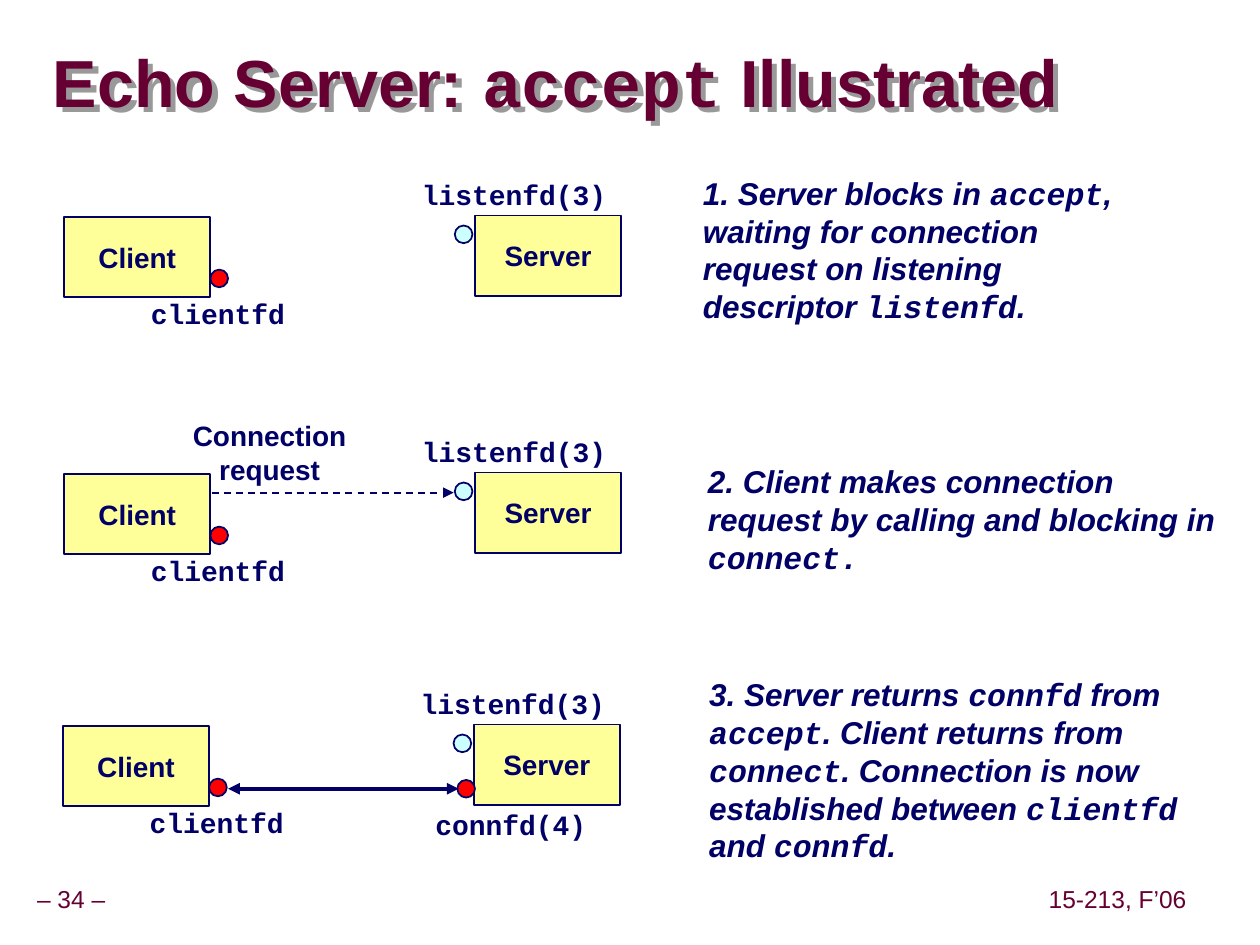
from lxml.etree import SubElement
from pptx import Presentation
from pptx.dml.color import RGBColor
from pptx.enum.dml import MSO_LINE_DASH_STYLE as Dash
from pptx.enum.shapes import MSO_CONNECTOR as Connector, MSO_SHAPE as Shape
from pptx.enum.text import MSO_ANCHOR as Anchor, MSO_AUTO_SIZE as AutoSize, PP_ALIGN as Align
from pptx.oxml import parse_xml
from pptx.oxml.ns import nsdecls, qn
from pptx.util import Inches, Pt

NAVY = RGBColor(0x00, 0x00, 0x66)
MAROON = RGBColor(0x66, 0x00, 0x33)
YELLOW = RGBColor(0xFF, 0xFF, 0x99)
PALE_CYAN = RGBColor(0xCC, 0xFF, 0xFF)
RED = RGBColor(0xFF, 0x00, 0x00)
GRAY = RGBColor(0x99, 0x99, 0x99)

SANS, MONO = "Arial", "Courier New"
WIDTH, HEIGHT = Inches(10), Inches(7.5)
COLUMN, ROW = WIDTH / 100, HEIGHT / 75  # the grid has 100 columns and 75 rows

NODE_SIZE = (11.6, 6.4)
DOT_SIZE = (1.4, 1.4)
LABEL_HEIGHT = 3.7


def grid(left, top, width, height):
    return (int(left * COLUMN), int(top * ROW),
            int(width * COLUMN), int(height * ROW))


def add_shadow(shape):
    """Give an unfilled text box a shadow, which falls from its letters."""
    shape.fill.background()
    shape._element.spPr.append(parse_xml(
        f'<a:effectLst {nsdecls("a")}>'
        '<a:outerShdw dist="53882" dir="2700000" algn="ctr" rotWithShape="0">'
        f'<a:srgbClr val="{GRAY}"/></a:outerShdw></a:effectLst>'))


def write(shape, text, *, size=16, color=NAVY, bold=True, italic=False,
          align=Align.CENTER, wrap=False, insets=(0.1, 0.05), spacing=None):
    """Fill a shape with text; parts between backticks are set as code."""
    frame = shape.text_frame
    frame.word_wrap = wrap
    frame.vertical_anchor = Anchor.MIDDLE
    frame.margin_left = frame.margin_right = Inches(insets[0])
    frame.margin_top = frame.margin_bottom = Inches(insets[1])
    for number, line in enumerate(text.split("\n")):
        paragraph = frame.add_paragraph() if number else frame.paragraphs[0]
        paragraph.alignment = align
        if spacing:
            paragraph.line_spacing = spacing
        for index, part in enumerate(line.split("`")):
            if not part:
                continue
            run = paragraph.add_run()
            run.text = part
            font = run.font
            font.size, font.bold, font.italic = Pt(size), bold, italic
            font.color.rgb = color
            font.name = MONO if index % 2 else SANS


def add_text(slide, box, text, *, grow=True, **style):
    shape = slide.shapes.add_textbox(*grid(*box))
    write(shape, text, **style)
    if grow:
        shape.text_frame.auto_size = AutoSize.SHAPE_TO_FIT_TEXT
    return shape


def add_outlined(slide, kind, box, fill):
    shape = slide.shapes.add_shape(kind, *grid(*box))
    shape.shadow.inherit = False
    shape.fill.solid()
    shape.fill.fore_color.rgb = fill
    shape.line.color.rgb = NAVY
    shape.line.width = Pt(1)
    return shape


def add_node(slide, left, top, name):
    write(add_outlined(slide, Shape.RECTANGLE, (left, top, *NODE_SIZE), YELLOW), name)


def add_dot(slide, left, top, fill):
    add_outlined(slide, Shape.OVAL, (left, top, *DOT_SIZE), fill)


def add_arrow(slide, start, end, top, *, weight=1, dash=None, ends=("tailEnd",)):
    left, y, length, _ = grid(start, top, end - start, 0)
    arrow = slide.shapes.add_connector(Connector.STRAIGHT, left, y, left + length, y)
    arrow.line.color.rgb = NAVY
    arrow.line.width = Pt(weight)
    if dash:
        arrow.line.dash_style = dash
    for end_name in ends:
        SubElement(arrow.line._get_or_add_ln(), qn(f"a:{end_name}"), type="triangle")
    SubElement(arrow._element.spPr, qn("a:effectLst"))


def add_endpoints(slide, left, top):
    """Client and server with the descriptors that every stage shows."""
    add_dot(slide, left + 31, top + 4.3, PALE_CYAN)
    add_text(slide, (left + 27.3, top, 16.8, LABEL_HEIGHT), "`listenfd(3)`")
    add_dot(slide, left + 11.6, top + 7.8, RED)
    add_node(slide, left, top + 3.6, "Client")
    add_text(slide, (left + 5.7, top + 9.45, 13, LABEL_HEIGHT), "`clientfd`")
    add_node(slide, left + 32.6, top + 3.5, "Server")


def add_request(slide, left, top):
    add_arrow(slide, left + 11.7, left + 30.9, top + 5.1, dash=Dash.DASH)
    add_text(slide, (left + 9.2, top - 1.3, 14.2, 6.4), "Connection\nrequest")


def add_connection(slide, left, top):
    add_dot(slide, left + 31.3, top + 7.9, RED)
    add_text(slide, (left + 28.4, top + 9.6, 14.3, LABEL_HEIGHT), "`connfd(4)`")
    add_arrow(slide, left + 13.1, left + 31.4, top + 8.6, weight=2.25,
              ends=("headEnd", "tailEnd"))


def add_stage(slide, left, top, caption_box, caption, add_link=None):
    add_endpoints(slide, left, top)
    if add_link:
        add_link(slide, left, top)
    add_text(slide, caption_box, caption, size=18, italic=True,
             align=Align.LEFT, wrap=True)


def add_title(slide, box):
    title = add_text(slide, box, "Echo Server: `accept` Illustrated", grow=False,
                     size=38, color=MAROON, align=Align.LEFT, wrap=True,
                     insets=(0, 0), spacing=0.87)
    add_shadow(title)


def add_footer(slide, top):
    style = dict(size=14, color=MAROON, bold=False, insets=(0.05, 0.05), spacing=0.9)
    add_text(slide, (-0.9, top, 13.1, 3.1), "– 34 –", **style)
    add_text(slide, (82.7, top, 12, 3.1), "15-213, F’06", **style)


def main():
    presentation = Presentation()
    presentation.slide_width, presentation.slide_height = WIDTH, HEIGHT
    slide = presentation.slides.add_slide(presentation.slide_layouts[6])

    add_footer(slide, 69.95)
    add_title(slide, (4.2, 3.7, 91.7, 6.3))
    add_stage(slide, 5.1, 13.6, (54.8, 13.3, 36, 13),
              "1. Server blocks in `accept`, waiting for connection request on "
              "listening descriptor `listenfd`.")
    add_stage(slide, 5.1, 34, (55.2, 36.2, 42.3, 10),
              "2. Client makes connection request by calling and blocking in "
              "`connect.`", add_request)
    add_stage(slide, 5, 54, (55.3, 53.1, 43.9, 16),
              "3. Server returns `connfd` from `accept`. Client returns from "
              "`connect`. Connection is now established between `clientfd` and "
              "`connfd`.", add_connection)

    presentation.save("out.pptx")


if __name__ == "__main__":
    main()
